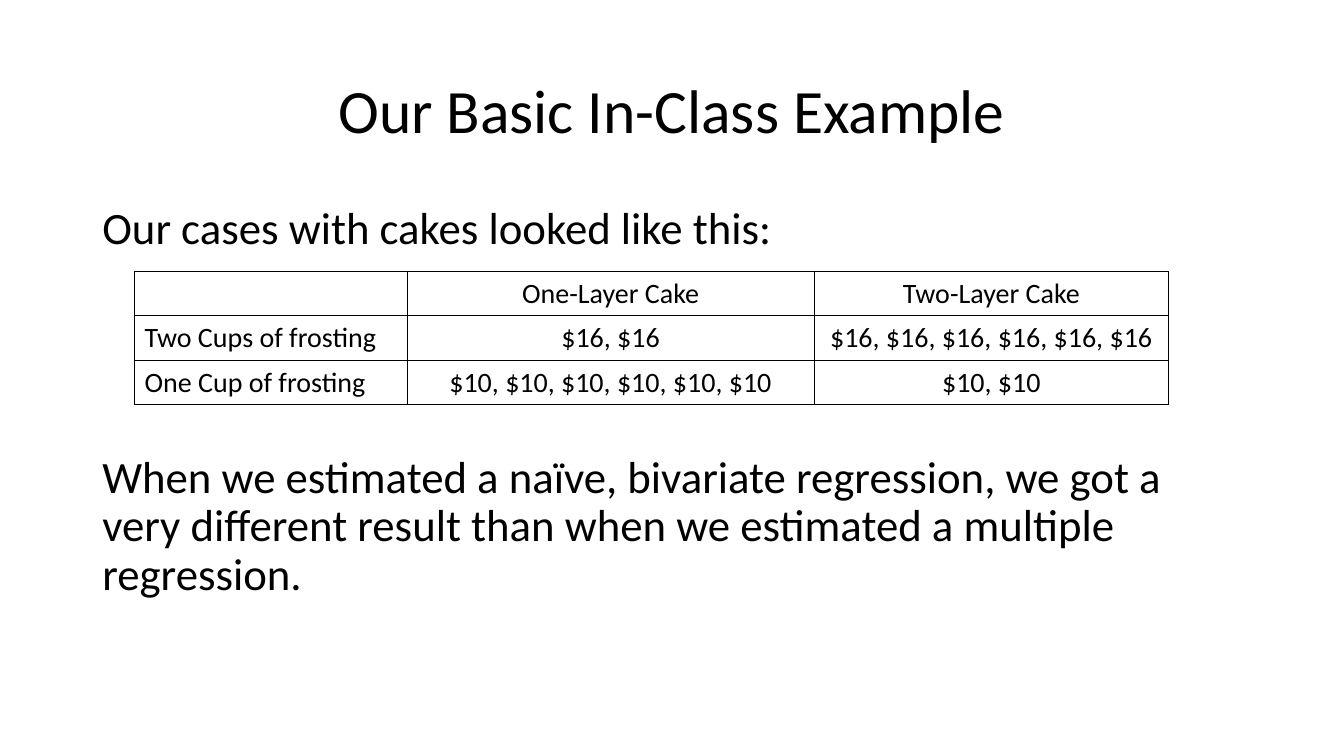
"""Build the cake example slide with its frosting price table."""
from lxml import etree
from pptx import Presentation
from pptx import util as u
from pptx.dml.color import RGBColor
from pptx.enum import text
from pptx.oxml.ns import qn

COLORS = {"ink": "000000", "paper": "FFFFFF"}
LEFT, CENTER = text.PP_ALIGN.LEFT, text.PP_ALIGN.CENTER


def write(paragraph, wording, size, **layout):
    for name, value in layout.items():
        setattr(paragraph, name, value)
    run = paragraph.add_run()
    run.text = wording
    for name, value in {"name": "Calibri", "size": u.Pt(size)}.items():
        setattr(run.font, name, value)
    run.font.color.rgb = RGBColor.from_string(COLORS["ink"])


def draw_borders(cell):
    properties = cell._tc.get_or_add_tcPr()
    for position, side in enumerate(("a:lnL", "a:lnR", "a:lnT", "a:lnB")):
        border = etree.Element(qn(side), w=str(u.Pt(1)))
        fill = etree.SubElement(border, qn("a:solidFill"))
        etree.SubElement(fill, qn("a:srgbClr"), val=COLORS["ink"])
        properties.insert(position, border)


deck = Presentation()
deck.slide_width, deck.slide_height = u.Cm(33.87), u.Cm(19.05)
slide = deck.slides.add_slide(deck.slide_layouts[6])

title = slide.shapes.add_textbox(u.Cm(2.33), u.Cm(1.01), u.Cm(29.21), u.Cm(3.68)).text_frame
title.word_wrap = True
title.vertical_anchor = text.MSO_ANCHOR.MIDDLE
write(title.paragraphs[0], "Our Basic In-Class Example", 44, alignment=CENTER, line_spacing=0.9)

body = slide.shapes.add_textbox(u.Cm(2.33), u.Cm(5.07), u.Cm(29.21), u.Cm(12.09)).text_frame
body.word_wrap = True
write(body.paragraphs[0], "Our cases with cakes looked like this:", 32,
      line_spacing=0.9, space_before=u.Pt(10))
write(body.add_paragraph(),
      "When we estimated a naïve, bivariate regression, we got a very different result "
      "than when we estimated a multiple regression.", 32,
      line_spacing=0.9, space_before=u.Pt(143))

prices = [
    ["", "One-Layer Cake", "Two-Layer Cake"],
    ["Two Cups of frosting", "$16, $16", ", ".join(["$16"] * 6)],
    ["One Cup of frosting", ", ".join(["$10"] * 6), "$10, $10"],
]
widths = [6.87, 10.26, 8.93]
row_height = 1.12
table = slide.shapes.add_table(len(prices), len(widths), u.Cm(3.39), u.Cm(6.84),
                               u.Cm(sum(widths)), u.Cm(row_height * len(prices))).table
for name in ("first_row", "horz_banding"):
    setattr(table, name, False)
for column, width in zip(table.columns, widths):
    column.width = u.Cm(width)
for row, entries in zip(table.rows, prices):
    row.height = u.Cm(row_height)
    for index, (cell, entry) in enumerate(zip(row.cells, entries)):
        cell.fill.solid()
        cell.fill.fore_color.rgb = RGBColor.from_string(COLORS["paper"])
        draw_borders(cell)
        if entry:
            write(cell.text_frame.paragraphs[0], entry, 20, alignment=CENTER if index else LEFT)

deck.save("out.pptx")
